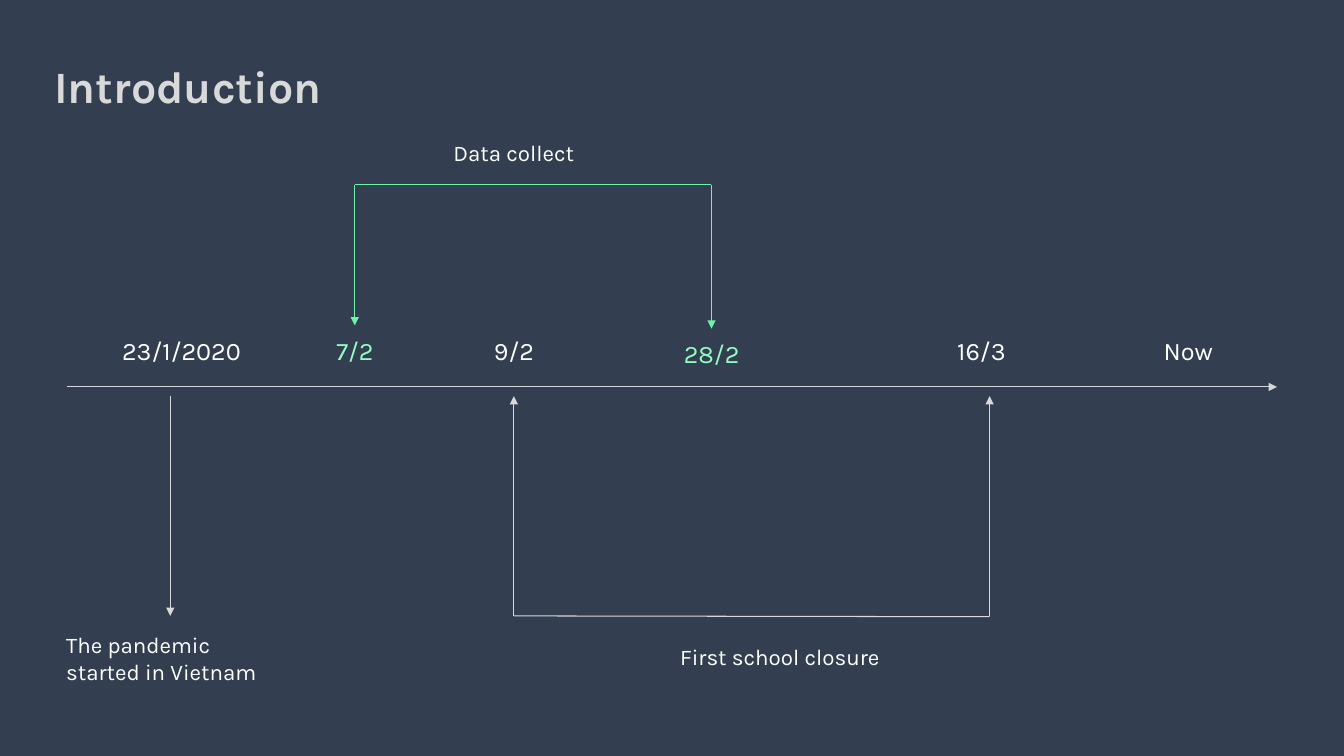
"""Builds the Introduction slide with a timeline of the pandemic."""
from lxml.etree import SubElement
from pptx import Presentation
from pptx.dml.color import RGBColor
from pptx.enum.shapes import MSO_CONNECTOR
from pptx.enum.text import MSO_ANCHOR, MSO_AUTO_SIZE, PP_ALIGN
from pptx.oxml.ns import qn
from pptx.util import Cm, Pt

COLORS = {
    "background": "333F50",
    "title": "D9D9D9",
    "text": "FFFFFF",
    "axis": "D6D6D6",
    "closure": "D9D9D9",
    "collect": "6DF3A9",
    "collect_date": "94FCC2",
}


def write(sp, text, size, color, align=PP_ALIGN.LEFT, anchor=MSO_ANCHOR.TOP):
    tf = sp.text_frame
    tf.word_wrap = True
    tf.auto_size = MSO_AUTO_SIZE.NONE
    tf.vertical_anchor = anchor
    tf.margin_left = tf.margin_right = tf.margin_top = tf.margin_bottom = Cm(0.25)
    p = tf.paragraphs[0]
    p.text = text
    p.alignment = align
    p.font.name = "Karla"
    p.font.size = Pt(size)
    p.font.color.rgb = RGBColor.from_string(COLORS[color])
    return p


def draw_line(s, x1, y1, x2, y2, color, arrow=True):
    line = s.shapes.add_connector(
        MSO_CONNECTOR.STRAIGHT, Cm(x1), Cm(y1), Cm(x2), Cm(y2))
    line.line.color.rgb = RGBColor.from_string(COLORS[color])
    line.line.width = Pt(0.75)
    if arrow:
        SubElement(line.line._get_or_add_ln(), qn("a:tailEnd"), type="triangle")
    SubElement(line._element.spPr, qn("a:effectLst"))


prs = Presentation()
prs.slide_width, prs.slide_height = Cm(33.87), Cm(19.05)
s = prs.slides.add_slide(prs.slide_layouts[5])
s.background.fill.solid()
s.background.fill.fore_color.rgb = RGBColor.from_string(COLORS["background"])

title = s.shapes.title
title.left, title.top, title.width, title.height = Cm(1.12), Cm(0.76), Cm(30.56), Cm(2.57)
p = write(title, "Introduction", 32, "title", anchor=MSO_ANCHOR.MIDDLE)
p.font.bold = True
p.line_spacing = 1.15

dates = [
    ("23/1/2020", 2.34, 8.2, "text"),
    ("7/2", 6.71, 8.2, "collect_date"),
    ("9/2", 10.72, 8.2, "text"),
    ("28/2", 15.7, 8.28, "collect_date"),
    ("16/3", 22.5, 8.2, "text"),
    ("Now", 27.71, 8.2, "text"),
]
for text, x, y, color in dates:
    sp = s.shapes.add_textbox(Cm(x), Cm(y), Cm(4.47), Cm(1.4))
    write(sp, text, 18, color, PP_ALIGN.CENTER)

events = [
    ("Data collect", 10.41, 3.25, 5.08, PP_ALIGN.CENTER),
    ("The pandemic started in Vietnam", 1.42, 15.65, 5.72, PP_ALIGN.LEFT),
    ("First school closure", 16.89, 15.95, 5.72, PP_ALIGN.LEFT),
]
for text, x, y, width, align in events:
    sp = s.shapes.add_textbox(Cm(x), Cm(y), Cm(width), Cm(1.4))
    write(sp, text, 16, "text", align)

draw_line(s, 1.7, 9.75, 32.18, 9.75, "axis")
draw_line(s, 4.29, 9.98, 4.29, 15.52, "closure")

draw_line(s, 8.94, 4.65, 17.93, 4.65, "collect", arrow=False)
for x, y in [(8.94, 8.2), (17.93, 8.28)]:
    draw_line(s, x, 4.65, x, y, "collect")

draw_line(s, 12.95, 15.52, 24.94, 15.54, "closure", arrow=False)
for x in (12.95, 24.94):
    draw_line(s, x, 15.52, x, 9.98, "closure")

prs.save("out.pptx")
